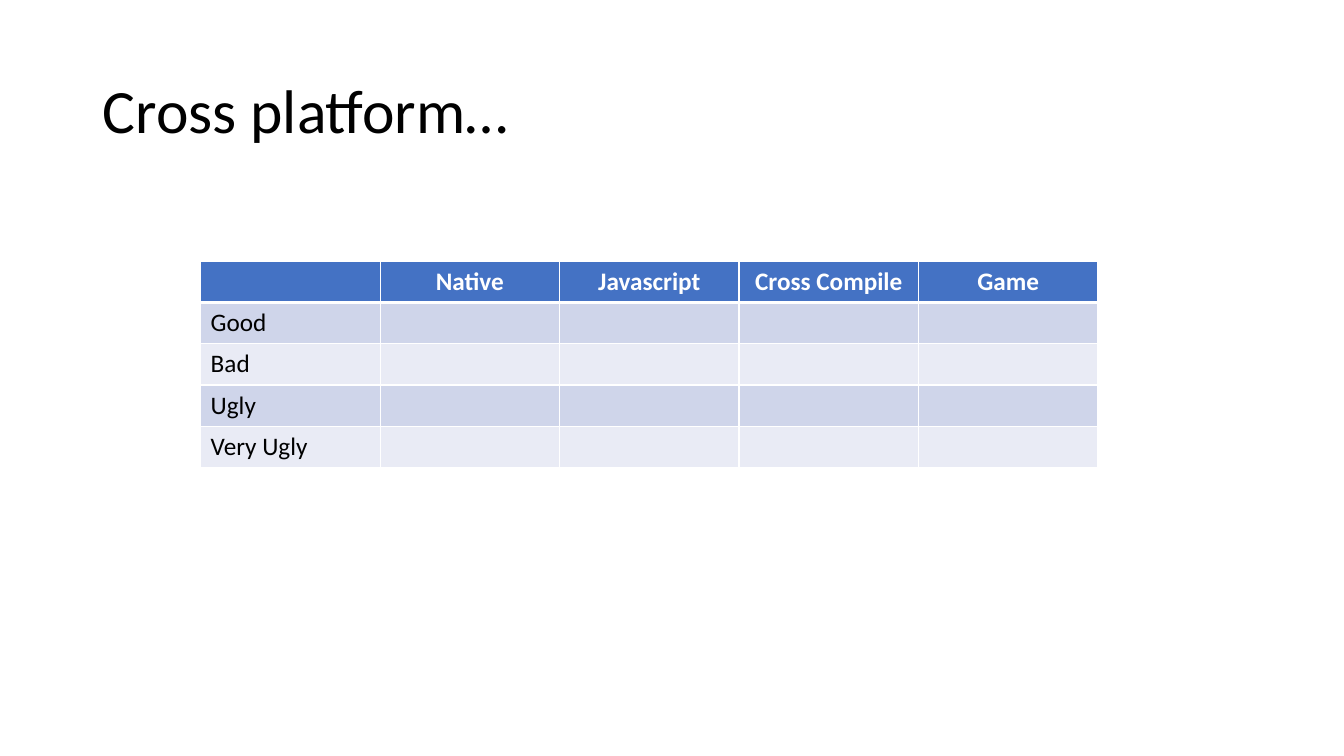
"""Build the cross platform comparison slide."""
import pptx
import pptx.dml.color
import pptx.enum.text
import pptx.oxml.ns
import pptx.util
from lxml import etree
from pptx.util import Inches, Pt

TITLE = "Cross platform…"
HEADERS = ["", "Native", "Javascript", "Cross Compile", "Game"]
RATINGS = ["Good", "Bad", "Ugly", "Very Ugly"]
FONT = "Calibri"
BLACK, WHITE, HEADER_BLUE = "000000", "FFFFFF", "4472C4"
BANDS = ["CFD5EA", "E9EBF5"]
COL_W, ROW_H = 1.78, 0.41


def rgb(value):
    return pptx.dml.color.RGBColor.from_string(value)


def add_run(p, text, size, color, bold=False):
    r = p.add_run()
    r.text = text
    r.font.name, r.font.size, r.font.bold = FONT, Pt(size), bold
    r.font.color.rgb = rgb(color)


def add_border(cell, side, width):
    qn = pptx.oxml.ns.qn
    tc_pr = cell._tc.get_or_add_tcPr()
    ln = etree.SubElement(tc_pr, qn("a:ln" + side), w=str(Pt(width)))
    fill = etree.SubElement(ln, qn("a:solidFill"))
    etree.SubElement(fill, qn("a:srgbClr"), val=WHITE)


prs = pptx.Presentation()
prs.slide_width, prs.slide_height = Inches(13.33), Inches(7.5)
s = prs.slides.add_slide(prs.slide_layouts[6])

tf = s.shapes.add_textbox(Inches(0.92), Inches(0.4), Inches(11.5), Inches(1.45)).text_frame
tf.word_wrap = True
tf.vertical_anchor = pptx.enum.text.MSO_ANCHOR.MIDDLE
p = tf.paragraphs[0]
p.line_spacing = 0.9
add_run(p, TITLE, 44, BLACK)

rows = [HEADERS] + [[rating] + [""] * (len(HEADERS) - 1) for rating in RATINGS]
table = s.shapes.add_table(
    len(rows), len(HEADERS), Inches(1.99), Inches(2.59),
    Inches(COL_W * len(HEADERS)), Inches(ROW_H * len(rows))).table
for col in table.columns:
    col.width = Inches(COL_W)
for i, row in enumerate(rows):
    table.rows[i].height = Inches(ROW_H)
    header = i == 0
    for j, text in enumerate(row):
        cell = table.cell(i, j)
        widths = {"L": 1, "R": 1, "T": 3 if i == 1 else 1, "B": 3 if header else 1}
        for side, width in widths.items():
            add_border(cell, side, width)
        cell.fill.solid()
        cell.fill.fore_color.rgb = rgb(HEADER_BLUE if header else BANDS[(i - 1) % 2])
        p = cell.text_frame.paragraphs[0]
        if header:
            p.alignment = pptx.enum.text.PP_ALIGN.CENTER
        if text:
            add_run(p, text, 18, WHITE if header else BLACK, header)

prs.save("out.pptx")
